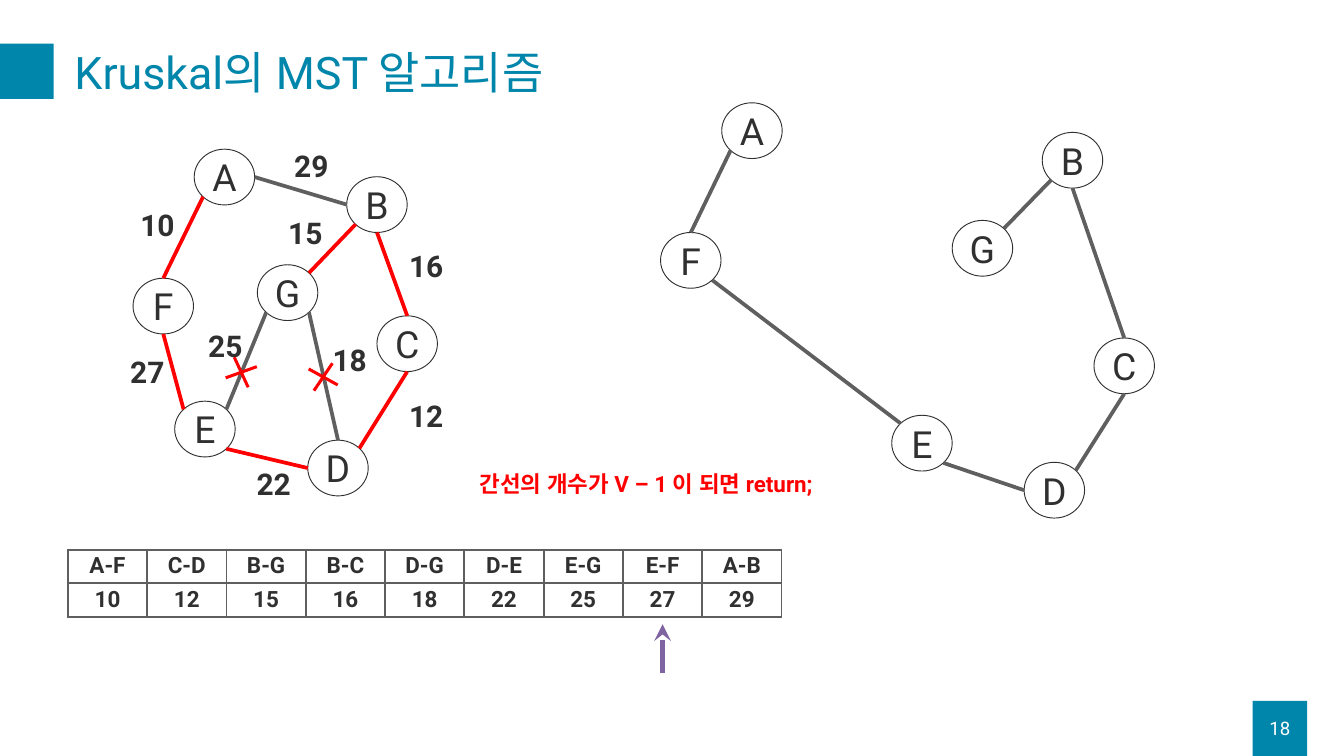
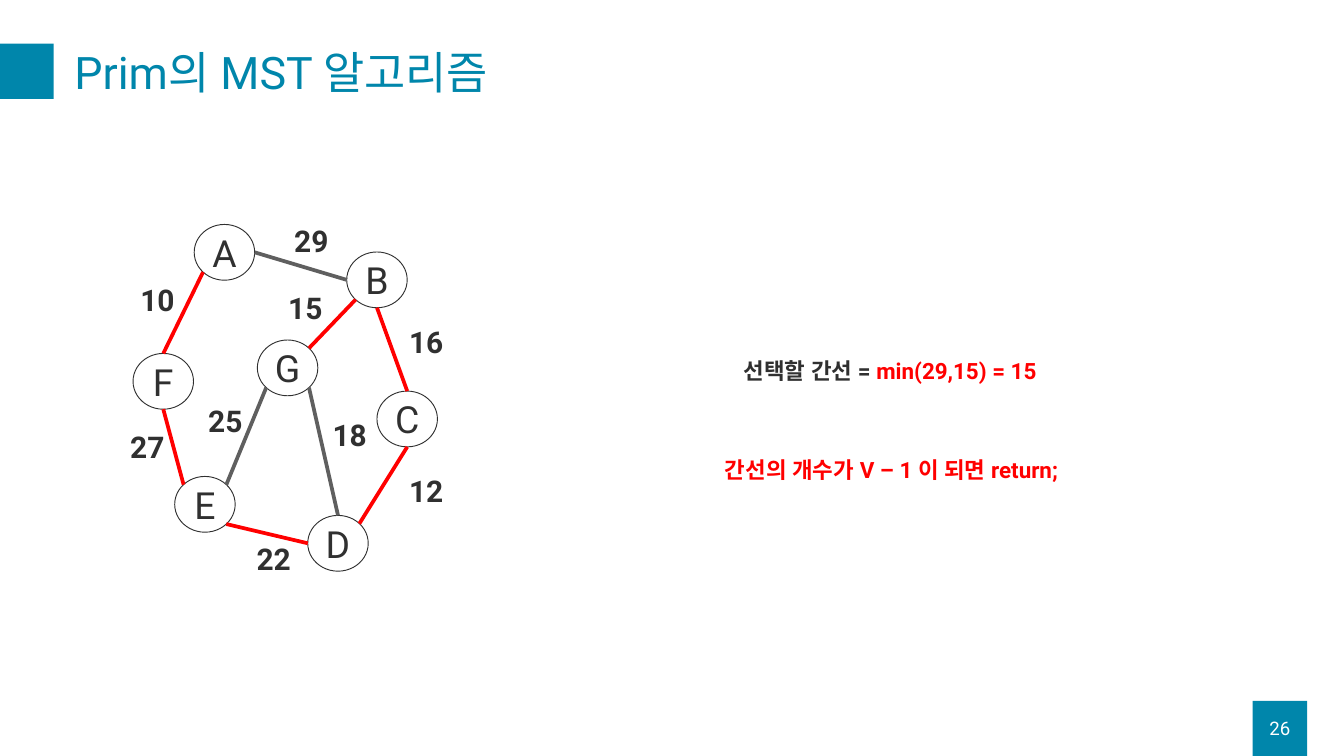
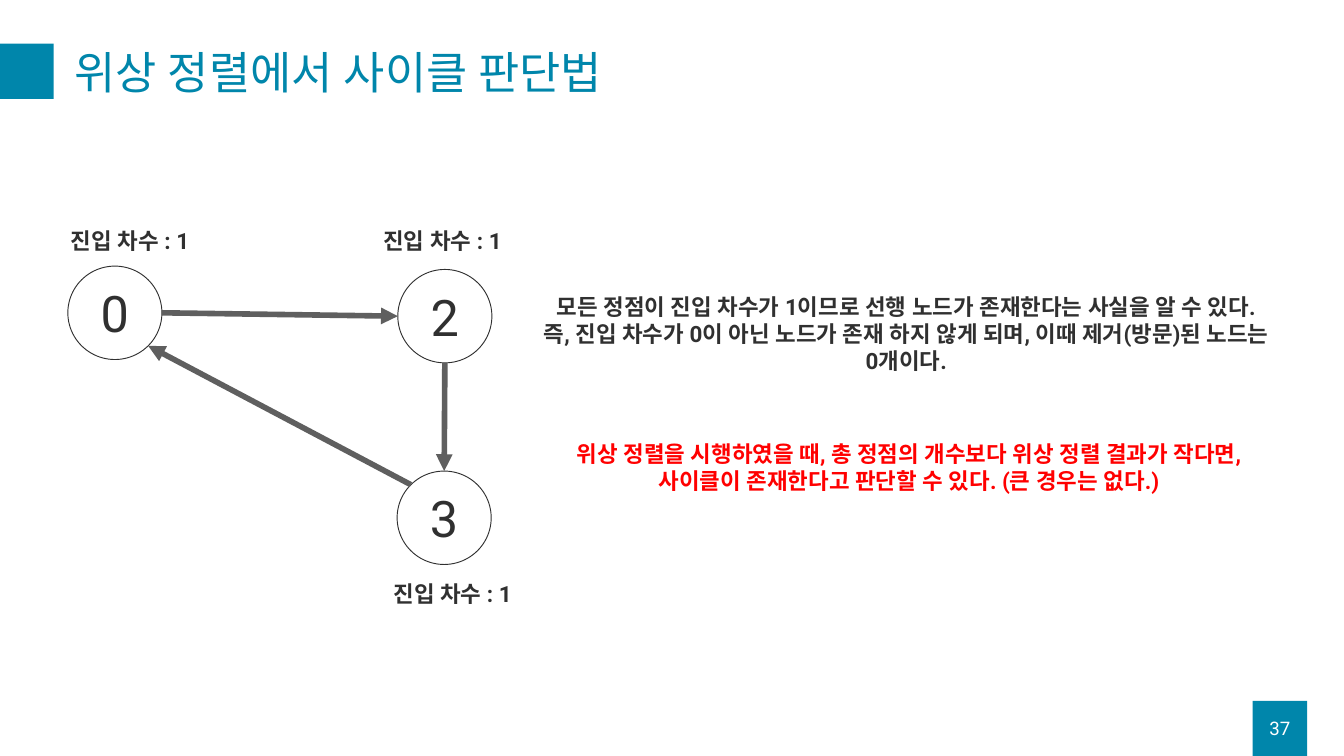
import math

from lxml import etree
from pptx import Presentation
from pptx import util as u
from pptx.dml import color
from pptx.enum import shapes, text
from pptx.oxml import ns

COLUMNS, ROWS = 20, 11.25
TEAL, INK, GRAY, RED, PURPLE, WHITE = "0086AB", "303030", "5F5F5F", "FF0000", "8064A2", "FFFFFF"
LEFT, CENTER = text.PP_ALIGN.LEFT, text.PP_ALIGN.CENTER
TOP, MIDDLE = text.MSO_ANCHOR.TOP, text.MSO_ANCHOR.MIDDLE
COMPASS = {name: math.radians(45 * step)
           for step, name in enumerate(["e", "se", "s", "sw", "w", "nw", "n", "ne"])}


def rgb(value):
    return color.RGBColor.from_string(value)


def child(parent, tag, **attributes):
    return etree.SubElement(parent, ns.qn(tag), attributes)


class Deck:
    font = "Roboto"

    def __init__(self):
        self.file = Presentation()
        self.file.slide_width = u.Inches(COLUMNS)
        self.file.slide_height = u.Inches(ROWS)
        self.column = self.file.slide_width / COLUMNS
        self.row = self.file.slide_height / ROWS
        self.slide = None

    def place(self, left, top, width, height):
        return (round(left * self.column), round(top * self.row),
                round(width * self.column), round(height * self.row))

    def page(self, title, number):
        self.slide = self.file.slides.add_slide(self.file.slide_layouts[6])
        badge = self.shape(shapes.MSO_SHAPE.RECTANGLE, (18.64, 10.43, 0.81, 0.82), TEAL)
        self.typeset(badge.text_frame, [str(number)], 20, WHITE, anchor=MIDDLE)
        self.shape(shapes.MSO_SHAPE.RECTANGLE, (0, 0.65, 0.8, 0.82), TEAL)
        heading = self.label(title, (1.01, 0.52, 18.25, 1.18), 48, TEAL,
                             bold=False, align=LEFT, anchor=MIDDLE)
        heading.text_frame.paragraphs[0].line_spacing = 0.9

    def style(self, paragraph, size, ink, bold, align):
        paragraph.alignment = align
        font = paragraph.font
        font.name, font.size, font.bold = self.font, u.Pt(size), bold
        font.color.rgb = rgb(ink)
        child(paragraph._p.pPr.find(ns.qn("a:defRPr")), "a:ea", typeface=self.font)

    def typeset(self, frame, lines, size, ink, bold=False, align=CENTER, anchor=TOP):
        frame.vertical_anchor = anchor
        for index, line in enumerate(lines):
            paragraph = frame.add_paragraph() if index else frame.paragraphs[0]
            self.style(paragraph, size, ink, bold, align)
            for words, tint in [(line, None)] if isinstance(line, str) else line:
                run = paragraph.add_run()
                run.text = words
                if tint:
                    run.font.color.rgb = rgb(tint)

    def label(self, lines, box, size=24, ink=INK, bold=True, align=CENTER, anchor=TOP):
        holder = self.slide.shapes.add_textbox(*self.place(*box))
        holder.text_frame.word_wrap = True
        lines = [lines] if isinstance(lines, str) else lines
        self.typeset(holder.text_frame, lines, size, ink, bold, align, anchor)
        return holder

    def shape(self, preset, box, fill, outline=None):
        figure = self.slide.shapes.add_shape(preset, *self.place(*box))
        figure.shadow.inherit = False
        figure.fill.solid()
        figure.fill.fore_color.rgb = rgb(fill)
        if outline:
            figure.line.color.rgb = rgb(outline)
            figure.line.width = u.Pt(1)
        else:
            figure.line.fill.background()
        return figure

    def node(self, name, box, size):
        frame = self.shape(shapes.MSO_SHAPE.OVAL, box, WHITE, INK).text_frame
        frame.margin_left = frame.margin_right = frame.margin_top = frame.margin_bottom = 0
        frame.word_wrap = False
        self.typeset(frame, [name], size, INK, anchor=MIDDLE)

    def line(self, start, end, ink=GRAY, weight=4, arrow=None):
        points = self.place(*start, *end)
        link = self.slide.shapes.add_connector(shapes.MSO_CONNECTOR.STRAIGHT, *points)
        link.line.color.rgb = rgb(ink)
        link.line.width = u.Pt(weight)
        properties = link._element.spPr
        if arrow:
            child(properties.find(ns.qn("a:ln")), "a:tailEnd", type=arrow)
        child(properties, "a:effectLst")

    def graph(self, corners, edges, size, node_size, chosen=(), weight=4, arrow=None):
        width, height = node_size

        def site(name, direction):
            left, top = corners[name]
            angle = COMPASS[direction]
            return (left + width / 2 * (1 + math.cos(angle)),
                    top + height / 2 * (1 + math.sin(angle)))

        for name, corner in corners.items():
            self.node(name, (*corner, *node_size), size)
        for (start, end), (leave, enter) in edges.items():
            ink = RED if start + end in chosen else GRAY
            self.line(site(start, leave), site(end, enter), ink, weight, arrow)

    def cross(self, left, top, turn):
        mark = self.shape(shapes.MSO_SHAPE.MATH_MULTIPLY, (left, top, 0.7, 0.64), RED)
        mark.adjustments[0] = 0.07
        mark.rotation = turn

    def table(self, rows, left, top, cell_width, cell_height):
        box = self.place(left, top, cell_width * len(rows[0]), cell_height * len(rows))
        grid = self.slide.shapes.add_table(len(rows), len(rows[0]), *box).table
        grid.first_row = grid.horz_banding = False
        for r, values in enumerate(rows):
            for c, value in enumerate(values):
                cell = grid.cell(r, c)
                self.typeset(cell.text_frame, [value], 24, INK, bold=True)
                borders = cell._tc.get_or_add_tcPr()
                for side in "LRTB":
                    border = child(borders, f"a:ln{side}", w=str(u.Pt(2.25)))
                    child(child(border, "a:solidFill"), "a:srgbClr", val=GRAY)
                cell.fill.background()


NODE = (0.9, 0.83)
EDGES = {"AF": ("sw", "n"), "AB": ("e", "w"), "BC": ("s", "n"), "BG": ("sw", "ne"),
         "FE": ("s", "nw"), "ED": ("se", "w"), "DC": ("ne", "s"),
         "GE": ("sw", "ne"), "GD": ("se", "n")}
TREE = ["AF", "BC", "BG", "FE", "ED", "DC"]
VERTICES = {"A": (2.89, 2.22), "B": (5.16, 2.63), "C": (5.61, 4.7), "G": (3.83, 3.94),
            "F": (1.98, 4.14), "E": (2.6, 5.97), "D": (4.58, 6.55)}
WEIGHTS = {"29": (4.28, 2.15), "10": (1.99, 3.02), "27": (1.84, 5.21), "25": (3, 4.82),
           "18": (4.85, 5.03), "12": (5.99, 5.87), "22": (3.72, 6.88), "16": (5.99, 3.64),
           "15": (4.19, 3.14)}
STOP_RULE = "간선의 개수가 V – 1 이 되면 return;"


def weighted_graph(deck, drop=0):
    corners = {name: (left, top + drop) for name, (left, top) in VERTICES.items()}
    deck.graph(corners, EDGES, 40, NODE, TREE)
    for weight, (left, top) in WEIGHTS.items():
        deck.label(weight, (left, top + drop, 0.76, 0.64), 32, align=LEFT)


def kruskal(deck):
    deck.page("Kruskal의 MST 알고리즘", 18)
    weighted_graph(deck)
    deck.cross(4.46, 5.29, 346.4)
    deck.cross(3.24, 5.22, 22.7)

    sorted_edges = [["A-F", "C-D", "B-G", "B-C", "D-G", "D-E", "E-G", "E-F", "A-B"],
                    ["10", "12", "15", "16", "18", "22", "25", "27", "29"]]
    left, cell_width = 1.01, 1.18
    deck.table(sorted_edges, left, 8.18, cell_width, 0.5)
    current = left + cell_width * (sorted_edges[0].index("E-F") + 0.5)
    deck.line((current, 10.01), (current, 9.29), PURPLE, 6, "stealth")

    tree_vertices = {"A": (10.74, 1.53), "F": (9.83, 3.46), "C": (16.28, 5.03),
                     "D": (15.24, 6.88), "B": (15.51, 1.97), "G": (14.17, 3.28),
                     "E": (13.27, 6.18)}
    tree_edges = {edge: EDGES[edge] for edge in TREE} | {"FE": ("se", "nw")}
    deck.graph(tree_vertices, tree_edges, 40, NODE)
    deck.label(STOP_RULE, (7.04, 6.95, 7.36, 0.5), ink=RED, align=LEFT)


def prim(deck):
    deck.page("Prim의 MST 알고리즘", 26)
    weighted_graph(deck, drop=1.12)
    deck.label([[("선택할 간선 = ", None), ("min(29,15) = 15", RED)]], (7.29, 5.26, 11.91, 0.5))
    deck.label(STOP_RULE, (10.69, 6.74, 7.36, 0.5), ink=RED, align=LEFT)


def cycle_check(deck):
    deck.page("위상 정렬에서 사이클 판단법", 37)
    deck.graph({"0": (1.01, 3.96), "2": (5.92, 4.01), "3": (5.91, 7.01)},
               {"02": ("e", "w"), "30": ("nw", "se"), "23": ("s", "n")},
               54, (1.4, 1.39), weight=6, arrow="triangle")
    for left, top in [(0.47, 3.33), (5.12, 3.33), (5.27, 8.59)]:
        deck.label("진입 차수 : 1", (left, top, 2.93, 0.5))
    deck.label(["모든 정점이 진입 차수가 1이므로 선행 노드가 존재한다는 사실을 알 수 있다.",
                "즉, 진입 차수가 0이 아닌 노드가 존재 하지 않게 되며, 이때 제거(방문)된 노드는",
                "0개이다."], (7.53, 4.31, 11.91, 1.31))
    deck.label(["위상 정렬을 시행하였을 때, 총 정점의 개수보다 위상 정렬 결과가 작다면,",
                "사이클이 존재한다고 판단할 수 있다. (큰 경우는 없다.)"],
               (7.57, 6.5, 11.91, 0.91), ink=RED)


def main():
    deck = Deck()
    for build in (kruskal, prim, cycle_check):
        build(deck)
    deck.file.save("out.pptx")


if __name__ == "__main__":
    main()
